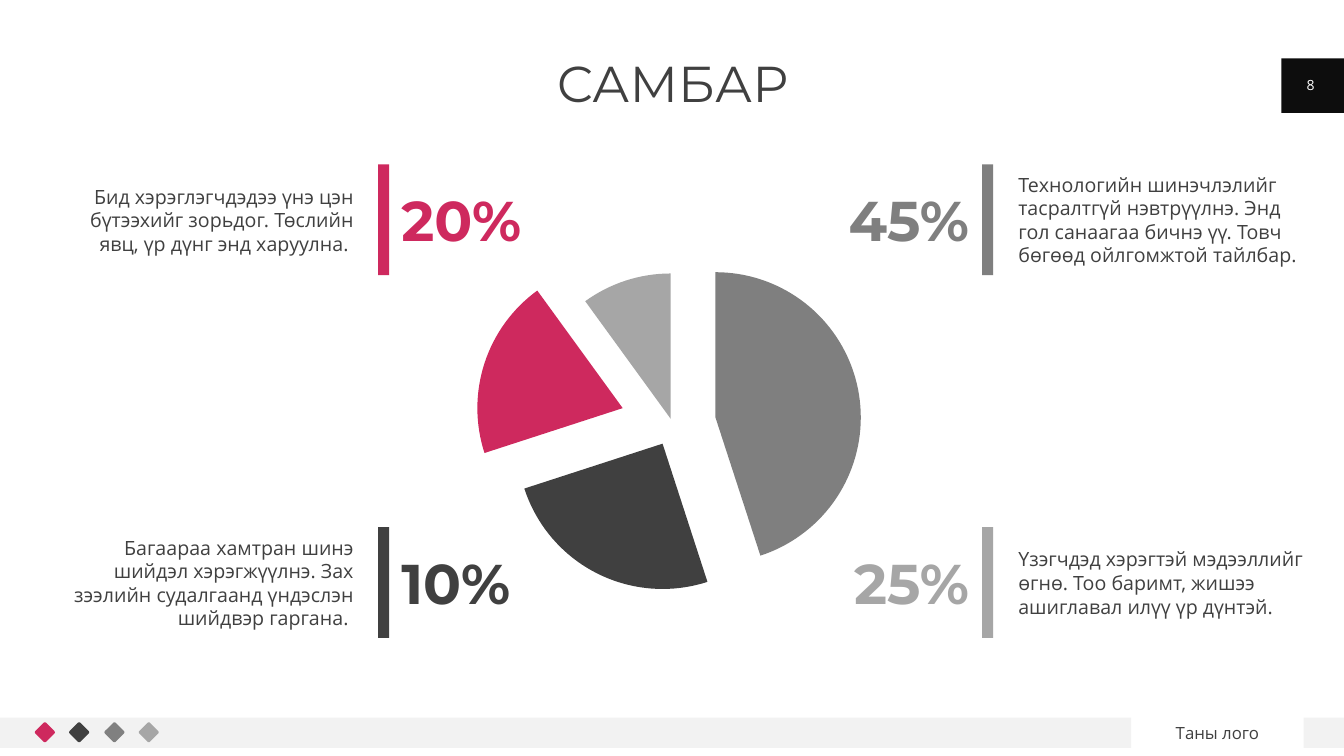
from lxml.etree import SubElement as Sub
from pptx import Presentation
from pptx.chart.data import CategoryChartData as ChartData
from pptx.dml.color import RGBColor
from pptx.enum.chart import XL_CHART_TYPE as Kind
from pptx.enum.shapes import MSO_SHAPE as Shape
from pptx.enum.text import MSO_ANCHOR as Anchor, PP_ALIGN as Align
from pptx.oxml.ns import qn
from pptx.util import Pt

PINK = RGBColor(0xCE, 0x29, 0x5E)
DARK = RGBColor(0x40, 0x40, 0x40)
GRAY = RGBColor(0x7F, 0x7F, 0x7F)
DOT = RGBColor(0x80, 0x80, 0x80)
SILVER = RGBColor(0xA6, 0xA6, 0xA6)
PALE = RGBColor(0xF2, 0xF2, 0xF2)
BLACK = RGBColor(0x0D, 0x0D, 0x0D)
WHITE = RGBColor(0xFF, 0xFF, 0xFF)
HEAD, BODY = "Montserrat", "Open Sans"

TITLE = "САМБАР"
LOGO = "Таны лого"
NUMBER = "8"
SLICES = [
    ("1", 45, GRAY, 30),
    ("2", 25, DARK, 15),
    ("3", 20, PINK, 36),
    ("4", 10, SILVER, 4),
]
LEFT = [
    ("20%", PINK, "Бид хэрэглэгчдэдээ үнэ цэн бүтээхийг зорьдог. "
     "Төслийн явц, үр дүнг энд харуулна. "),
    ("10%", DARK, "Багаараа хамтран шинэ шийдэл хэрэгжүүлнэ. "
     "Зах зээлийн судалгаанд үндэслэн шийдвэр гаргана. "),
]
RIGHT = [
    ("45%", GRAY, "Технологийн шинэчлэлийг тасралтгүй нэвтрүүлнэ. "
     "Энд гол санаагаа бичнэ үү. Товч бөгөөд ойлгомжтой тайлбар."),
    ("25%", SILVER, "Үзэгчдэд хэрэгтэй мэдээллийг өгнө. "
     "Тоо баримт, жишээ ашиглавал илүү үр дүнтэй."),
]
SIDES = [
    (LEFT, 375, 56, Align.RIGHT, 398, Align.LEFT),
    (RIGHT, 974, 1010, Align.LEFT, 753, Align.RIGHT),
]
TOP, STEP = 159, 360
BANDS = [
    (0, 712, 1122, 30, PALE),
    (1271, 58, 62, 54, BLACK),
    (1293, 712, 40, 30, PALE),
]
DOTS = [PINK, DARK, DOT, SILVER]


def px(*vals):
    return [v * 9144 for v in vals]


def block(slide, box, fill, kind=Shape.RECTANGLE):
    shape = slide.shapes.add_shape(kind, *px(*box))
    shape.shadow.inherit = False
    shape.fill.solid()
    shape.fill.fore_color.rgb = fill
    shape.line.fill.background()
    return shape


def write(frame, text, size, color, face=BODY, align=Align.CENTER, bold=False, pad=0):
    frame.word_wrap = True
    frame.vertical_anchor = Anchor.MIDDLE
    frame.margin_left = frame.margin_right = pad
    frame.margin_top = frame.margin_bottom = pad
    para = frame.paragraphs[0]
    para.alignment = align
    run = para.add_run()
    run.text = text
    font = run.font
    font.name, font.size, font.bold = face, Pt(size), bold
    font.color.rgb = color
    return para


def label(slide, box, *args, **opts):
    write(slide.shapes.add_textbox(*px(*box)).text_frame, *args, **opts)


def pie(slide):
    data = ChartData()
    data.categories = [s[0] for s in SLICES]
    data.add_series("Series 1", [s[1] for s in SLICES])
    frame = slide.shapes.add_chart(Kind.PIE, *px(349, 209, 636, 424), data)
    chart = frame.chart
    chart.has_legend = chart.has_title = False
    chart.font.name, chart.font.size = BODY, Pt(10)
    plot = chart.plots[0]
    plot.vary_by_categories = True
    row = plot.series[0]
    for i, (name, val, color, gap) in enumerate(SLICES):
        look = row.points[i].format
        look.fill.solid()
        look.fill.fore_color.rgb = color
        look.line.fill.background()
    for node, part in zip(row._element.findall(qn("c:dPt")), SLICES):
        burst = Sub(node, qn("c:explosion"), val=str(part[3]))
        node.find(qn("c:spPr")).addprevious(burst)
    area = chart._chartSpace.find(".//" + qn("c:plotArea"))
    old = area.find(qn("c:layout"))
    if old is not None:
        area.remove(old)
    spot = Sub(area, qn("c:layout"))
    area.insert(0, spot)
    hand = Sub(spot, qn("c:manualLayout"))
    rules = [("layoutTarget", "inner"), ("xMode", "edge"), ("yMode", "edge"),
             ("x", "0.27"), ("y", "0.16"), ("w", "0.46"), ("h", "0.68")]
    for tag, val in rules:
        Sub(hand, qn("c:" + tag), val=val)


def main():
    deck = Presentation()
    deck.slide_width, deck.slide_height = px(1333, 750)
    slide = deck.slides.add_slide(deck.slide_layouts[5])

    for *box, fill in BANDS:
        block(slide, box, fill)
    for i, fill in enumerate(DOTS):
        dot = block(slide, (37 + round(i * 34.3), 719, 15, 15), fill,
                    Shape.ROUNDED_RECTANGLE)
        dot.adjustments[0] = 0.11
        dot.rotation = 45

    title = slide.shapes.title
    title.left, title.top, title.width, title.height = px(92, 58, 1150, 55)
    write(title.text_frame, TITLE, 36, DARK, HEAD).line_spacing = 0.9
    label(slide, (1122, 712, 171, 30), LOGO, 12, DARK, pad=Pt(3))
    label(slide, (1277, 64, 46, 40), NUMBER, 10, WHITE, pad=Pt(3))

    pie(slide)
    for items, bar, note, side, rate, edge in SIDES:
        for i, (share, color, text) in enumerate(items):
            top = TOP + i * STEP
            block(slide, (bar, top + 4, 11, 110), color)
            label(slide, (note, top, 295, 118), text, 14, DARK, align=side)
            label(slide, (rate, top + 25, 208, 67), share, 40, color, HEAD,
                  edge, True)
    deck.save("out.pptx")


if __name__ == "__main__":
    main()
